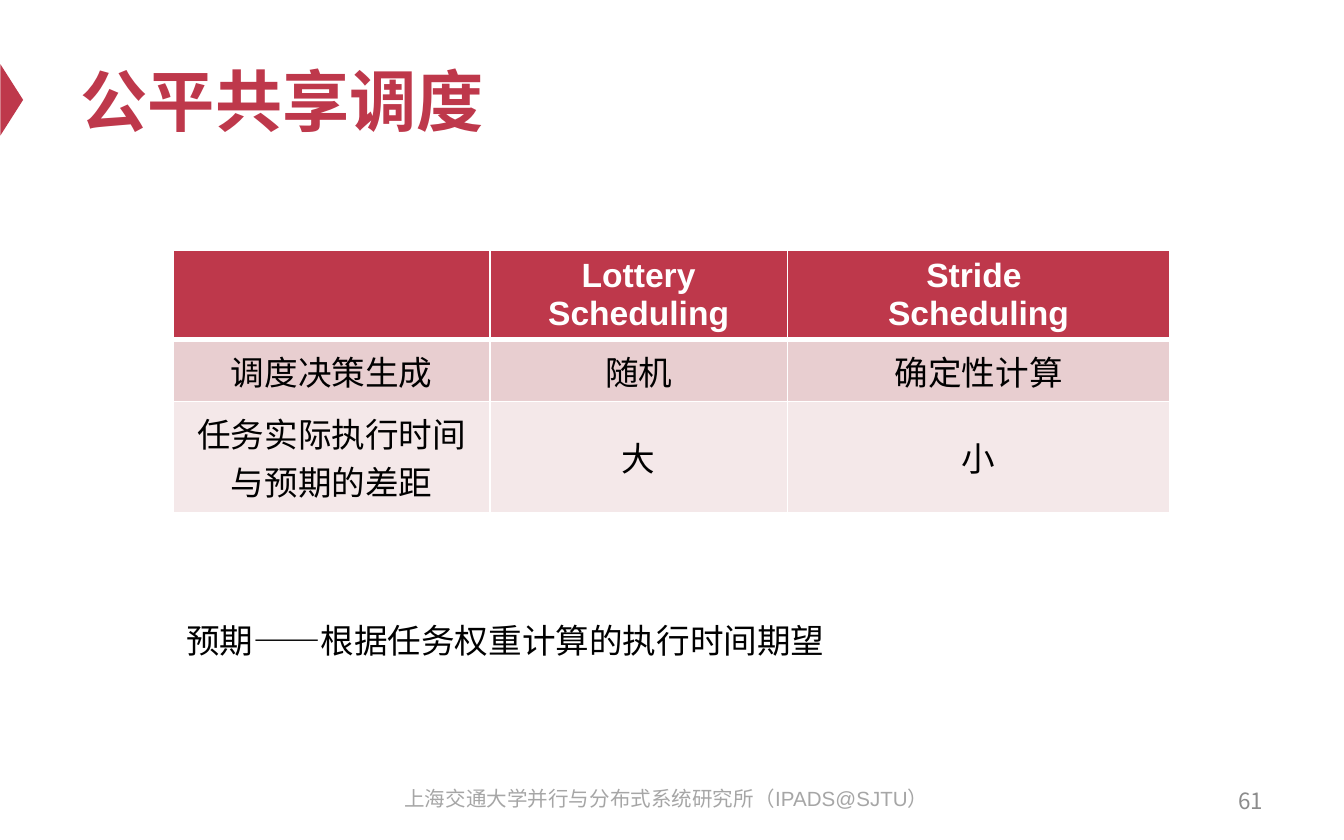
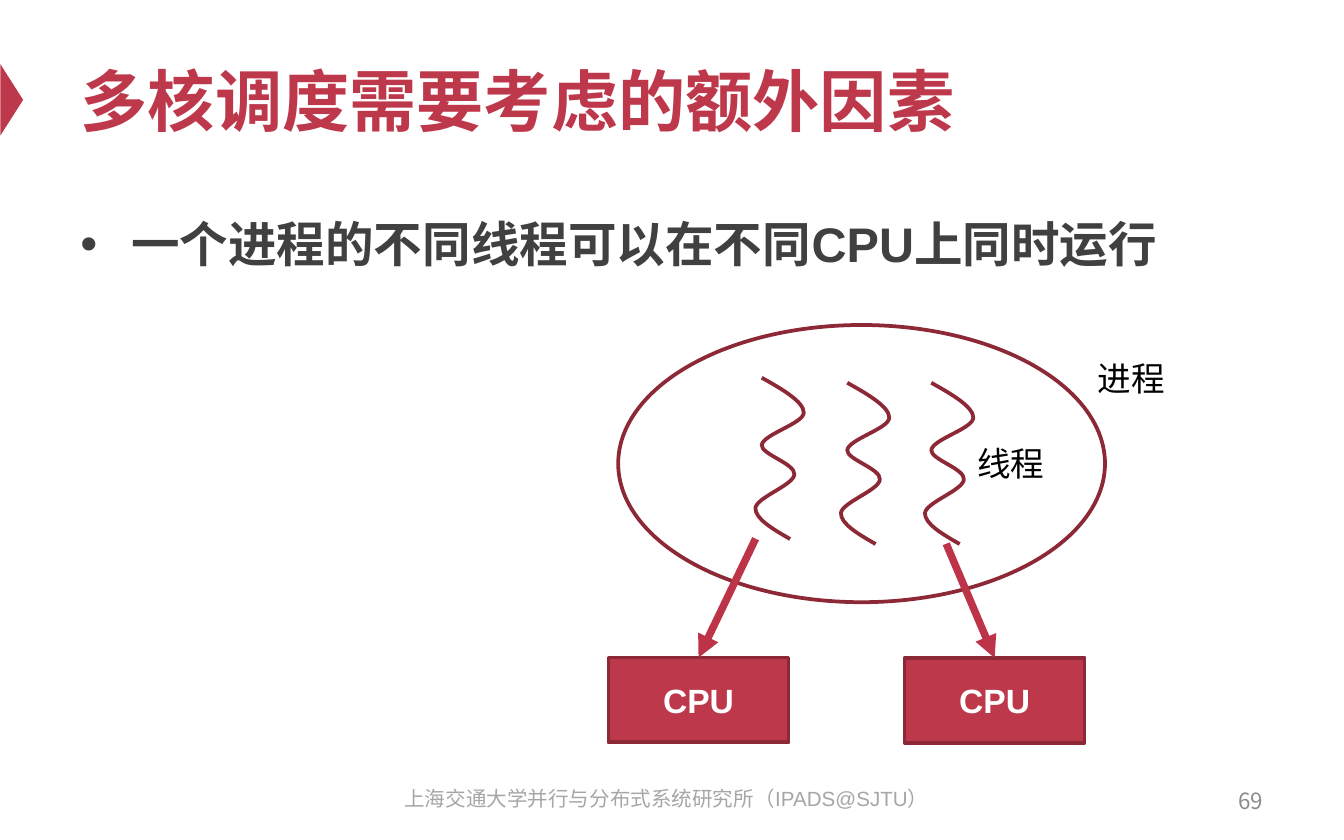
from lxml import etree
from pptx import Presentation
from pptx.dml.color import RGBColor
from pptx.enum.shapes import MSO_CONNECTOR, MSO_SHAPE
from pptx.enum.text import MSO_ANCHOR, MSO_AUTO_SIZE, PP_ALIGN
from pptx.oxml.ns import qn
from pptx.util import Pt

LEFT, CENTER, RIGHT = PP_ALIGN.LEFT, PP_ALIGN.CENTER, PP_ALIGN.RIGHT
TOP, MIDDLE = MSO_ANCHOR.TOP, MSO_ANCHOR.MIDDLE
FIXED, GROW = MSO_AUTO_SIZE.NONE, MSO_AUTO_SIZE.SHAPE_TO_FIT_TEXT
TRIANGLE, OVAL, RECTANGLE = MSO_SHAPE.ISOSCELES_TRIANGLE, MSO_SHAPE.OVAL, MSO_SHAPE.RECTANGLE
STRAIGHT = MSO_CONNECTOR.STRAIGHT

COLORS = {
    "brand": "BE384B",
    "outline": "8D2937",
    "arrow": "BD3347",
    "white": "FFFFFF",
    "black": "000000",
    "body": "404040",
    "footer": "A6A6A6",
    "number": "8C8C8C",
    "band_dark": "E8CED0",
    "band_light": "F4E8E9",
}
LATIN_FONT = "Arial"
CHINESE_FONT = "Noto Sans CJK SC"
TITLE_ONLY_LAYOUT = 5
TITLE_BOX = (36, 18, 648, 70.6)
FOOTER = "上海交通大学并行与分布式系统研究所（IPADS@SJTU）"

THREAD_START = (3.5, 0)
THREAD_CURVES = [
    ((15, 6.4), (26, 13), (26, 18.7)),
    ((26, 24.5), (4.4, 30.2), (3.5, 36)),
    ((3, 41), (21.5, 46), (21, 51.8)),
    ((20.5, 57.6), (0.8, 64), (0.1, 69.8)),
    ((0, 75.6), (9.3, 81), (18.7, 86.4)),
]


def color(name):
    return RGBColor.from_string(COLORS[name])


def points(*values):
    return [Pt(value) for value in values]


def format_paragraph(paragraph, size, color_name, bold=False, align=LEFT, font=LATIN_FONT):
    paragraph.alignment = align
    paragraph.font.size = Pt(size)
    paragraph.font.bold = bold
    paragraph.font.name = font
    paragraph.font.color.rgb = color(color_name)
    defaults = paragraph._p.get_or_add_pPr().find(qn("a:defRPr"))
    etree.SubElement(defaults, qn("a:ea")).set("typeface", CHINESE_FONT)


def add_text(slide, box, text, size, color_name, anchor=TOP, wrap=True, auto_size=FIXED, **style):
    shape = slide.shapes.add_textbox(*points(*box))
    frame = shape.text_frame
    frame.word_wrap = wrap
    frame.auto_size = auto_size
    frame.vertical_anchor = anchor
    frame.text = text
    format_paragraph(frame.paragraphs[0], size, color_name, **style)


def add_filled_shape(slide, kind, box, fill, outline=None):
    shape = slide.shapes.add_shape(kind, *points(*box))
    shape.shadow.inherit = False
    shape.fill.solid()
    shape.fill.fore_color.rgb = color(fill)
    if outline:
        shape.line.color.rgb = color(outline)
        shape.line.width = Pt(2)
    else:
        shape.line.fill.background()
    return shape


def add_base_slide(presentation, title, number):
    slide = presentation.slides.add_slide(presentation.slide_layouts[TITLE_ONLY_LAYOUT])
    marker = add_filled_shape(slide, TRIANGLE, (-12.8, 47.4, 38.2, 12.2), "brand")
    marker.rotation = 90

    placeholder = slide.shapes.title
    placeholder.left, placeholder.top, placeholder.width, placeholder.height = points(*TITLE_BOX)
    frame = placeholder.text_frame
    frame.text = title
    frame.auto_size = FIXED
    frame.vertical_anchor = MIDDLE
    format_paragraph(frame.paragraphs[0], 36, "brand", bold=True)

    add_text(slide, (515.8, 417, 168, 24), str(number), 12, "number",
             anchor=MIDDLE, align=RIGHT, font=CHINESE_FONT)
    add_text(slide, (201, 417.6, 312, 24), FOOTER, 11, "footer", align=CENTER)
    return slide


def set_borders(cell, top, bottom):
    properties = cell._tc.get_or_add_tcPr()
    for side, width in (("L", 1), ("R", 1), ("T", top), ("B", bottom)):
        line = etree.SubElement(properties, qn(f"a:ln{side}"), w=str(Pt(width)))
        fill = etree.SubElement(line, qn("a:solidFill"))
        etree.SubElement(fill, qn("a:srgbClr"), val=COLORS["white"])


def add_comparison_table(slide, box):
    rows = [
        ("", "Lottery\nScheduling", "Stride \nScheduling"),
        ("调度决策生成", "随机", "确定性计算"),
        ("任务实际执行时间与预期的差距", "大", "小"),
    ]
    row_fills = ["brand", "band_dark", "band_light"]
    frame = slide.shapes.add_table(len(rows), len(rows[0]), *points(*box))
    table = frame.table
    for column, width in zip(table.columns, (169.7, 159.3, 205)):
        column.width = Pt(width)
    for row_index, texts in enumerate(rows):
        header = row_index == 0
        table.rows[row_index].height = Pt(29.2)
        for column_index, text in enumerate(texts):
            cell = table.cell(row_index, column_index)
            set_borders(cell, 3 if row_index == 1 else 1, 3 if header else 1)
            cell.fill.solid()
            cell.fill.fore_color.rgb = color(row_fills[row_index])
            cell.vertical_anchor = MIDDLE
            cell.text = text
            for paragraph in cell.text_frame.paragraphs:
                format_paragraph(paragraph, 18, "white" if header else "black",
                                 bold=header, align=CENTER)
    frame.height = Pt(box[3])


def add_bullet(slide, box, text):
    shape = slide.shapes.add_textbox(*points(*box))
    frame = shape.text_frame
    frame.word_wrap = True
    frame.text = text
    paragraph = frame.paragraphs[0]
    paragraph.line_spacing = 1.2
    properties = paragraph._p.get_or_add_pPr()
    properties.set("marL", str(Pt(27.2)))
    properties.set("indent", str(-Pt(27.2)))
    etree.SubElement(properties, qn("a:buFont"), typeface=LATIN_FONT)
    etree.SubElement(properties, qn("a:buChar"), char="•")
    format_paragraph(paragraph, 26, "body", bold=True)


def bend_segments(freeform):
    outline = freeform._element.spPr.find(".//" + qn("a:path"))
    segments = outline.findall(qn("a:lnTo"))
    for first in range(0, len(segments), 3):
        curve = etree.SubElement(outline, qn("a:cubicBezTo"))
        for segment in segments[first:first + 3]:
            curve.append(segment[0])
            outline.remove(segment)


def add_thread(slide, left, top):
    start_x, start_y = THREAD_START
    builder = slide.shapes.build_freeform(Pt(left + start_x), Pt(top + start_y))
    controls = [points(left + x, top + y) for curve in THREAD_CURVES for x, y in curve]
    builder.add_line_segments(controls, close=False)
    thread = builder.convert_to_shape()
    bend_segments(thread)
    thread.shadow.inherit = False
    thread.fill.background()
    thread.line.color.rgb = color("outline")
    thread.line.width = Pt(2)


def add_cpu(slide, box):
    cpu = add_filled_shape(slide, RECTANGLE, box, "brand", "outline")
    cpu.text_frame.text = "CPU"
    cpu.text_frame.vertical_anchor = MIDDLE
    format_paragraph(cpu.text_frame.paragraphs[0], 18, "white", bold=True, align=CENTER)
    return cpu


def add_arrow(slide, start, target):
    connector = slide.shapes.add_connector(STRAIGHT, *points(*start, *start))
    connector.end_connect(target, 0)
    connector.line.color.rgb = color("arrow")
    connector.line.width = Pt(4)
    etree.SubElement(connector.line._get_or_add_ln(), qn("a:tailEnd"), type="triangle")
    etree.SubElement(connector._element.spPr, qn("a:effectLst"))


def add_process_diagram(slide, box):
    left, top, width, height = box
    add_filled_shape(slide, OVAL, (left + 5.2, top, width, height), "white", "outline")
    for x, y in ((78.6, 28.3), (124.4, 31), (169.4, 31)):
        add_thread(slide, left + x, top + y)
    for text, x, y in (("进程", 255, 14), ("线程", 190.4, 59.6)):
        add_text(slide, (left + x, top + y, 56.9, 29), text, 18, "black", auto_size=GROW)
    for x, y, start_x, start_y in ((0, 178.2, 78.8, 114.5), (158.6, 178.4, 180.9, 117.2)):
        cpu = add_cpu(slide, (left + x, top + y, 96.5, 45.4))
        add_arrow(slide, (left + start_x, top + start_y), cpu)


def add_fair_share_slide(presentation):
    slide = add_base_slide(presentation, "公平共享调度", 61)
    add_comparison_table(slide, (92.8, 134.3, 534, 130.3))
    add_text(slide, (92.6, 328.3, 360, 29), "预期——根据任务权重计算的执行时间期望",
             18, "black", wrap=False, auto_size=GROW)


def add_multicore_slide(presentation):
    slide = add_base_slide(presentation, "多核调度需要考虑的额外因素", 69)
    add_bullet(slide, (36, 105, 648, 296.6), "一个进程的不同线程可以在不同CPU上同时运行")
    add_process_diagram(slide, (326, 174.1, 260.8, 148.5))


def main():
    presentation = Presentation()
    presentation.slide_width = Pt(720)
    presentation.slide_height = Pt(450)
    add_fair_share_slide(presentation)
    add_multicore_slide(presentation)
    presentation.save("out.pptx")


if __name__ == "__main__":
    main()
